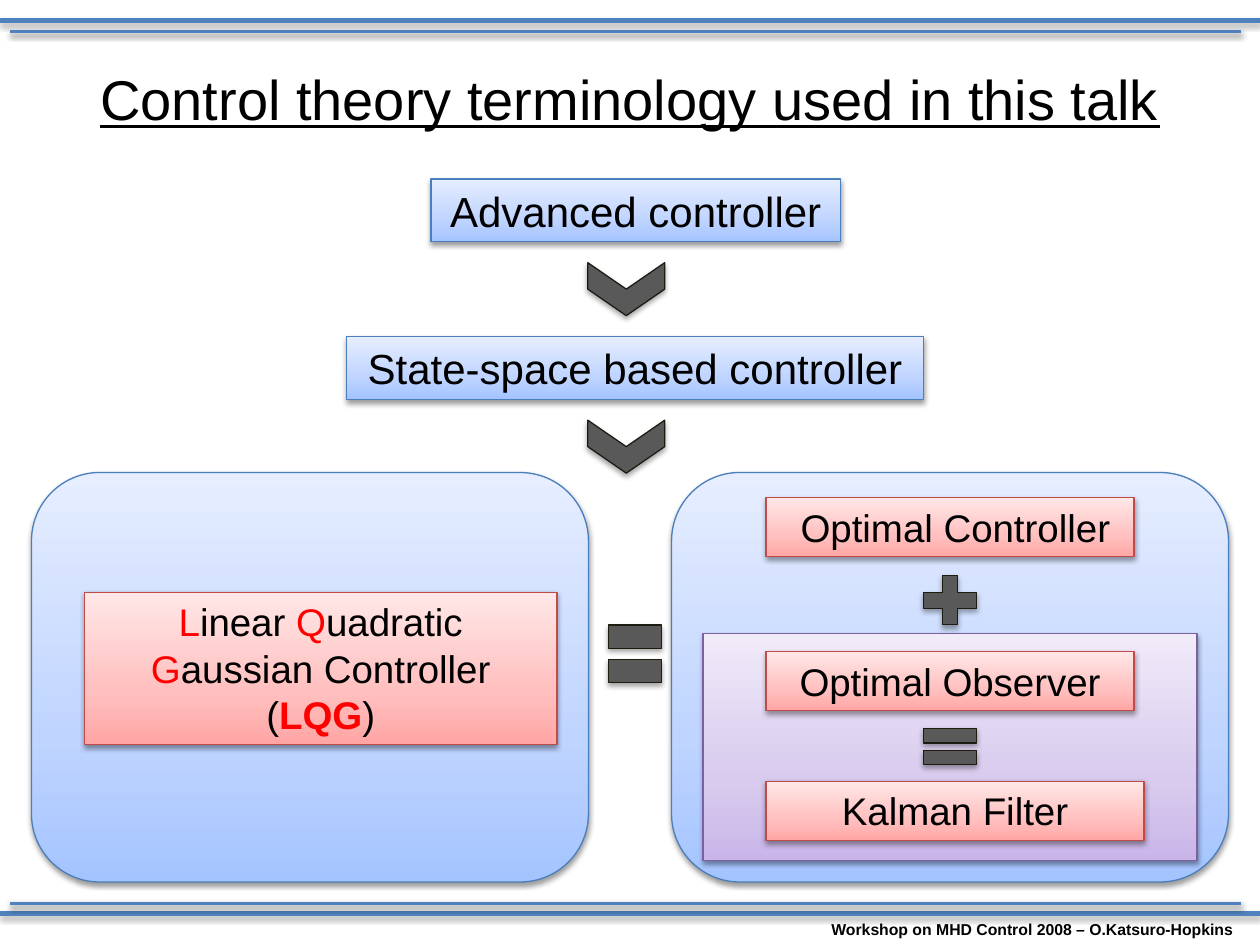
"""Build a slide that relates LQG control to its optimal controller and observer."""
from pptx import Presentation
from pptx.dml.color import RGBColor
from pptx.enum.shapes import MSO_CONNECTOR, MSO_SHAPE
from pptx.enum.text import MSO_ANCHOR, PP_ALIGN
from pptx.oxml import parse_xml
from pptx.oxml.ns import nsdecls, qn
from pptx.util import Inches, Pt

BLACK = RGBColor(0x00, 0x00, 0x00)
RED = RGBColor(0xFF, 0x00, 0x00)
GRAY = RGBColor(0x59, 0x59, 0x59)
DARK = RGBColor(0x1E, 0x1C, 0x11)
RULE = RGBColor(0x4F, 0x81, 0xBD)
STOPS = (0, 35, 100)
BLUE = (("A4C4FF", "BFD4FF", "E6EEFF"), RGBColor(0x4B, 0x7E, 0xBC))
PURPLE = (("C9B5E8", "D8CBEE", "F0EAF9"), RGBColor(0x7D, 0x60, 0xA0))
PINK = (("FFA6A5", "FFC0BF", "FFE7E7"), RGBColor(0xBF, 0x4C, 0x48))
SOFT_SHADOW = (35, 1.8)
FIRM_SHADOW = (38, 1.6)

TITLE = "Control theory terminology used in this talk"
FOOTER = "Workshop on MHD Control 2008 – O.Katsuro-Hopkins"
RULES = [
    (0, 10, 0.165, 3, SOFT_SHADOW),
    (0.08, 9.85, 0.25, 2, FIRM_SHADOW),
    (0, 10, 7.25, 3, SOFT_SHADOW),
    (0.08, 9.85, 7.17, 2, FIRM_SHADOW),
]
PANELS = [
    (MSO_SHAPE.ROUNDED_RECTANGLE, (5.33, 3.75, 4.42, 3.25), BLUE),
    (MSO_SHAPE.RECTANGLE, (5.58, 5.03, 3.92, 1.8), PURPLE),
    (MSO_SHAPE.ROUNDED_RECTANGLE, (0.25, 3.75, 4.42, 3.25), BLUE),
]
LQG = [("L", RED, False), ("inear ", BLACK, False), ("Q", RED, False),
       ("uadratic ", BLACK, False), ("G", RED, False),
       ("aussian Controller (", BLACK, False), ("LQG", RED, True), (")", BLACK, False)]
LABELS = [
    ((3.42, 1.42, 3.25, 0.5), BLUE, 24, [("Advanced controller", BLACK, False)]),
    ((2.75, 2.67, 4.58, 0.5), BLUE, 24, [("State-space based controller", BLACK, False)]),
    ((0.67, 4.7, 3.75, 1.21), PINK, 22, LQG),
    ((6.08, 3.95, 2.92, 0.47), PINK, 22, [(" ", RED, True), ("Optimal Controller", BLACK, False)]),
    ((6.08, 5.17, 2.92, 0.47), PINK, 22, [("Optimal Observer", BLACK, False)]),
    ((6.08, 6.2, 3, 0.47), PINK, 22, [("Kalman Filter", BLACK, False)]),
]
SYMBOLS = [
    (MSO_SHAPE.MATH_PLUS, (7.25, 4.5, 0.58, 0.53), 0),
    (MSO_SHAPE.MATH_EQUAL, (7.25, 5.68, 0.58, 0.49), 0),
    (MSO_SHAPE.MATH_EQUAL, (4.75, 4.8, 0.58, 0.78), 0),
    (MSO_SHAPE.CHEVRON, (4.76, 1.99, 0.42, 0.61), 90),
    (MSO_SHAPE.CHEVRON, (4.76, 3.24, 0.42, 0.61), 90),
]


def add_shadow(shape, shadow):
    opacity, distance = shadow
    shape.element.spPr.append(parse_xml(
        f'<a:effectLst {nsdecls("a")}><a:outerShdw blurRad="{Pt(3.1)}" dist="{Pt(distance)}" '
        f'dir="5400000" rotWithShape="0"><a:srgbClr val="000000">'
        f'<a:alpha val="{opacity * 1000}"/></a:srgbClr></a:outerShdw></a:effectLst>'))


def add_rule(page, left, right, top, weight, shadow):
    rule = page.shapes.add_connector(
        MSO_CONNECTOR.STRAIGHT, Inches(left), Inches(top), Inches(right), Inches(top))
    rule.line.color.rgb = RULE
    rule.line.width = Pt(weight)
    add_shadow(rule, shadow)


def add_outlined(page, kind, frame, line_color):
    shape = page.shapes.add_shape(kind, *map(Inches, frame))
    shape.line.color.rgb = line_color
    shape.line.width = Pt(0.75)
    return shape


def add_panel(page, kind, frame, theme):
    colors, line_color = theme
    panel = add_outlined(page, kind, frame, line_color)
    panel.fill.gradient()
    panel.fill.gradient_angle = 90
    stops = "".join(f'<a:gs pos="{stop * 1000}"><a:srgbClr val="{color}"/></a:gs>'
                    for stop, color in zip(STOPS, colors))
    gradient = panel.element.spPr.find(qn("a:gradFill"))
    gradient.replace(gradient.find(qn("a:gsLst")),
                     parse_xml(f'<a:gsLst {nsdecls("a")}>{stops}</a:gsLst>'))
    add_shadow(panel, FIRM_SHADOW)
    return panel


def add_label(page, frame, theme, size, spans):
    label = add_panel(page, MSO_SHAPE.RECTANGLE, frame, theme)
    label.text_frame.word_wrap = True
    label.text_frame.vertical_anchor = MSO_ANCHOR.TOP
    para = label.text_frame.paragraphs[0]
    para.alignment = PP_ALIGN.CENTER
    para.font.name = "Arial"
    para.font.size = Pt(size)
    for text, color, bold in spans:
        span = para.add_run()
        span.text = text
        span.font.color.rgb = color
        span.font.bold = bold


def add_symbol(page, kind, frame, rotation):
    symbol = add_outlined(page, kind, frame, DARK)
    symbol.rotation = rotation
    symbol.fill.solid()
    symbol.fill.fore_color.rgb = GRAY
    add_shadow(symbol, SOFT_SHADOW)


def write_line(box, text, size, alignment):
    box.text_frame.text = text
    box.text_frame.word_wrap = True
    para = box.text_frame.paragraphs[0]
    para.alignment = alignment
    para.font.name = "Arial"
    para.font.size = Pt(size)
    para.font.color.rgb = BLACK
    return para


def main():
    deck = Presentation()
    deck.slide_width, deck.slide_height = Inches(10), Inches(7.5)
    page = deck.slides.add_slide(deck.slide_layouts[5])

    title = page.shapes.title
    title.left, title.top, title.width, title.height = map(Inches, (0.5, 0.3, 9, 0.95))
    title.text_frame.vertical_anchor = MSO_ANCHOR.MIDDLE
    write_line(title, TITLE, 32, PP_ALIGN.CENTER).font.underline = True
    footer = page.shapes.add_textbox(*map(Inches, (6.5, 7.25, 3.42, 0.25)))
    write_line(footer, FOOTER, 9, PP_ALIGN.LEFT).font.bold = True

    for rule in RULES:
        add_rule(page, *rule)
    for panel in PANELS:
        add_panel(page, *panel)
    for label in LABELS:
        add_label(page, *label)
    for symbol in SYMBOLS:
        add_symbol(page, *symbol)
    deck.save("out.pptx")


if __name__ == "__main__":
    main()
